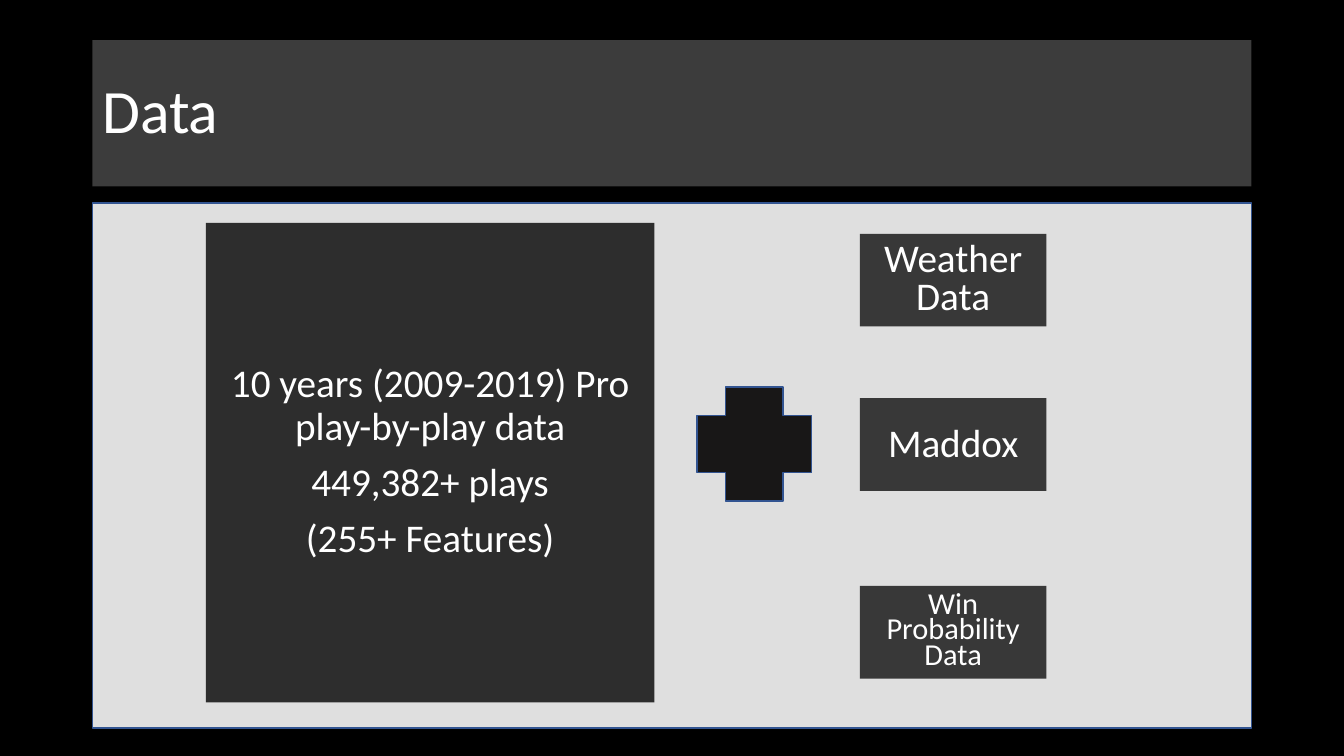
from pptx import Presentation
from pptx.dml.color import RGBColor
from pptx.enum import shapes, text
from pptx.oxml import ns
from pptx.util import Pt
from lxml import etree

BLACK = RGBColor(0x00, 0x00, 0x00)
WHITE = RGBColor(0xFF, 0xFF, 0xFF)
PANEL_GREY = RGBColor(0xF2, 0xF2, 0xF2)
TITLE_GREY = RGBColor(0x40, 0x40, 0x40)
BOX_GREY = RGBColor(0x26, 0x26, 0x26)
PLUS_GREY = RGBColor(0x18, 0x17, 0x17)
OUTLINE_BLUE = RGBColor(0x32, 0x54, 0x91)

deck = Presentation()
deck.slide_width, deck.slide_height = Pt(960), Pt(540)
page = deck.slides.add_slide(deck.slide_layouts[6])
page.background.fill.solid()
page.background.fill.fore_color.rgb = BLACK


def add_block(kind, place, color, opacity=100, outline=None):
    box = page.shapes.add_shape(kind, *[Pt(length) for length in place])
    box.shadow.inherit = False
    box.fill.solid()
    box.fill.fore_color.rgb = color
    if opacity < 100:
        tint = box.fill._xPr.find(".//" + ns.qn("a:srgbClr"))
        etree.SubElement(tint, ns.qn("a:alpha"), val=str(opacity * 1000))
    if outline is None:
        box.line.fill.background()
    else:
        box.line.color.rgb = outline
        box.line.width = Pt(1)
    return box


def write(box, lines, size, spacing, align=text.PP_ALIGN.CENTER):
    frame = box.text_frame
    frame.word_wrap = True
    frame.vertical_anchor = text.MSO_ANCHOR.MIDDLE
    frame.text = "\n".join(lines)
    for index, para in enumerate(frame.paragraphs):
        para.alignment = align
        para.line_spacing = spacing
        para.space_before = Pt(10 if index else 0)
        for span in para.runs:
            span.font.name = "Calibri"
            span.font.size = Pt(size)
            span.font.color.rgb = WHITE


RECTANGLE = shapes.MSO_SHAPE.RECTANGLE
add_block(RECTANGLE, (66, 145, 828, 375), PANEL_GREY, 92, OUTLINE_BLUE)

title = add_block(RECTANGLE, (66, 28.75, 828, 104.4), TITLE_GREY, 94)
write(title, ["Data"], 44, 0.9, text.PP_ALIGN.LEFT)

plays = add_block(RECTANGLE, (147, 159.25, 320.4, 342.5), BOX_GREY, 96)
write(plays, ["10 years (2009-2019) Pro play-by-play data",
              "449,382+ plays", "(255+ Features)"], 28, 0.9)

extra_sources = [
    ("Weather Data", 167, 28, 0.8),
    ("Maddox", 284.4, 28, 0.9),
    ("Win Probability Data", 418.5, 21.7, 0.7),
]
for label, top, size, spacing in extra_sources:
    source = add_block(RECTANGLE, (614.2, top, 133.2, 66.25), BOX_GREY, 90)
    write(source, [label], size, spacing)

add_block(shapes.MSO_SHAPE.CROSS, (497.75, 276.5, 82, 81.4), PLUS_GREY, outline=OUTLINE_BLUE)

deck.save("out.pptx")
